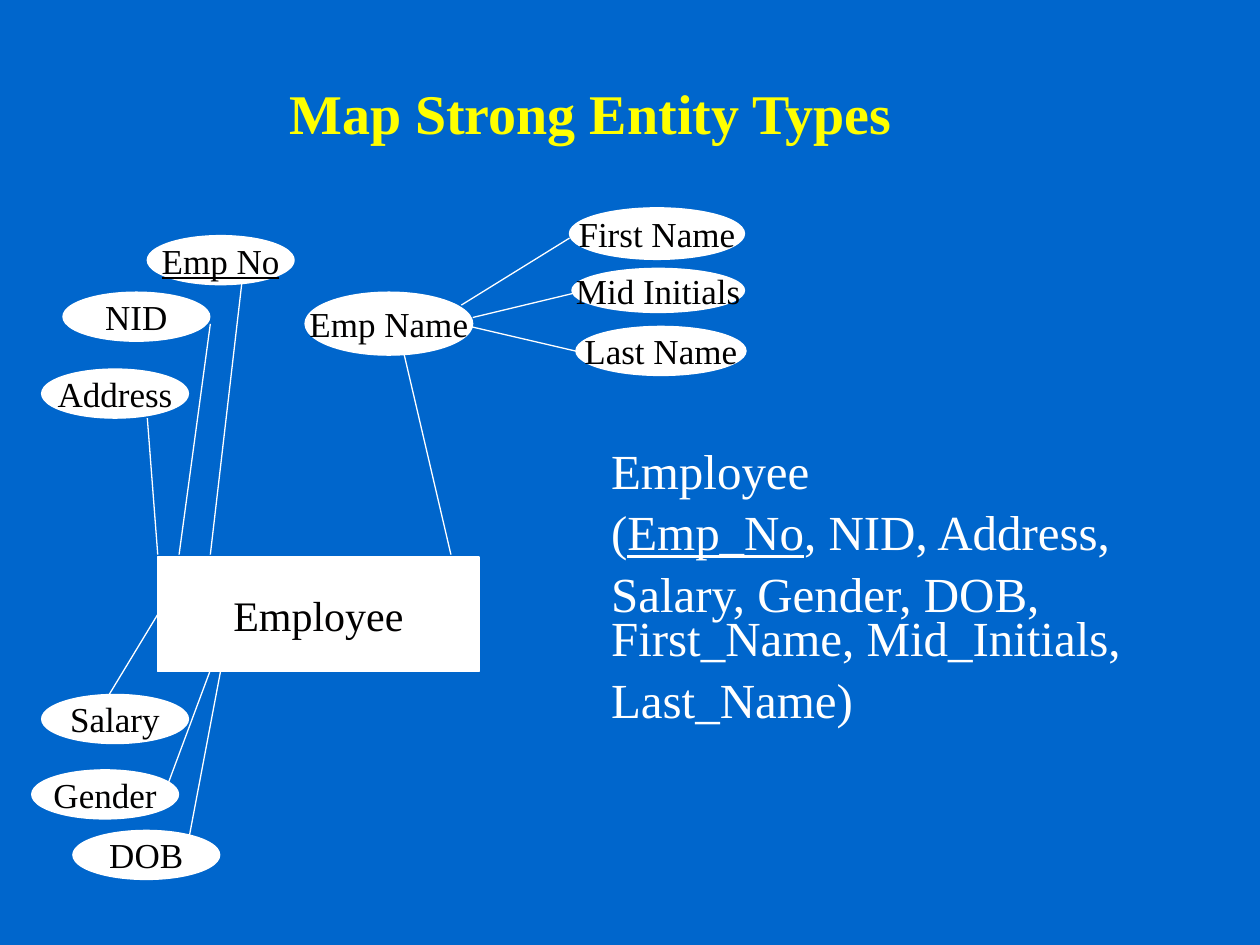
import pptx
import pptx.util
import pptx.dml.color
import pptx.enum.shapes
import pptx.enum.text
import pptx.oxml

Cm, Pt = pptx.util.Cm, pptx.util.Pt
KIND = pptx.enum.shapes.MSO_SHAPE
TEXT = pptx.enum.text
FONT = "Times New Roman"
HUES = {"back": "0066CC", "title": "FFFF00", "white": "FFFFFF", "ink": "010000"}

# Content: lengths in cm
TITLE = "Map Strong Entity Types"
ENTITY = ("Employee", 3.18, 11.23, 6.48, 2.31)
KEY = "Emp No"
SIZE = (2.96, 0.99)  # usual oval
OVALS = [
    (KEY, 2.97, 4.75, *SIZE),
    ("Emp Name", 6.15, 5.89, 3.38, 1.27),
    ("NID", 1.27, 5.89, *SIZE),
    ("Salary", 0.84, 14, *SIZE),
    ("Address", 0.84, 7.44, *SIZE),
    ("Gender", 0.64, 15.52, *SIZE),
    ("DOB", 1.47, 16.74, *SIZE),
    ("First Name", 11.48, 4.19, 3.53, 1.04),
    ("Mid Initials", 11.53, 5.41, 3.48, 0.89),
    ("Last Name", 11.61, 6.58, 3.43, 0.99),
]
LINKS = [  # from x, y to x, y
    (9.3, 6.15, 11.48, 4.8),
    (9.53, 6.4, 11.53, 5.92),
    (9.47, 6.58, 11.66, 7.09),
    (9.09, 11.18, 8.05, 6.73),
    (4.24, 11.18, 4.88, 5.66),
    (3.61, 11.18, 4.24, 6.53),
    (3.18, 11.18, 2.97, 8.43),
    (4.24, 13.51, 3.38, 15.82),
    (4.45, 13.51, 3.81, 16.89),
]
SALARY = (3.18, 12.39, 2.11, 14.15)  # starts at the entity's left side
NOTES = [  # box, then lines of (text, underlined) runs
    ((12.07, 8.69, 11.86, 3.81), [
        [("Employee", False)],
        [("(", False), ("Emp_No", True), (", NID, Address,", False)],
        [("Salary, Gender, DOB,", False)],
    ]),
    ((12.07, 12.07, 12.5, 2.64), [
        [("First_Name, Mid_Initials,", False)],
        [("Last_Name)", False)],
    ]),
]


def hue(name):
    return pptx.dml.color.RGBColor.from_string(HUES[name])


def style(para, size, name):
    para.font.name, para.font.size = FONT, Pt(size)
    para.font.color.rgb = hue(name)


def node(slide, kind, item, size):
    text, *box = item
    shape = slide.shapes.add_shape(kind, *map(Cm, box))
    shape.shadow.inherit = False
    shape.fill.solid()
    shape.fill.fore_color.rgb = hue("white")
    shape.line.color.rgb = hue("white")
    shape.line.width = Pt(0.75)
    frame = shape.text_frame
    frame.word_wrap = False
    frame.vertical_anchor = TEXT.MSO_ANCHOR.MIDDLE
    para = frame.paragraphs[0]
    para.text = text
    para.alignment = TEXT.PP_ALIGN.CENTER
    style(para, size, "ink")
    para.font.underline = text == KEY
    return shape


def link(slide, ends):
    line = slide.shapes.add_connector(
        pptx.enum.shapes.MSO_CONNECTOR.STRAIGHT, *map(Cm, ends))
    line.line.color.rgb = hue("white")
    line.line.width = Pt(0.75)
    props = line._element.spPr
    props.append(props.makeelement(pptx.oxml.ns.qn("a:effectLst"), {}))
    return line


def note(slide, box, lines):
    frame = slide.shapes.add_textbox(*map(Cm, box)).text_frame
    frame.word_wrap = True
    for i, runs in enumerate(lines):
        para = frame.add_paragraph() if i else frame.paragraphs[0]
        para.line_spacing = 1.05
        style(para, 28, "white")
        for text, under in runs:
            run = para.add_run()
            run.text = text
            if under:
                run.font.underline = True


def main():
    deck = pptx.Presentation()
    deck.slide_width, deck.slide_height = Cm(25.4), Cm(19.05)
    slide = deck.slides.add_slide(deck.slide_layouts[5])
    slide.background.fill.solid()
    slide.background.fill.fore_color.rgb = hue("back")

    # Title
    title = slide.shapes.title
    title.left, title.top, title.width, title.height = map(Cm, (1.07, 0, 21.59, 3.07))
    frame = title.text_frame
    frame.vertical_anchor = TEXT.MSO_ANCHOR.BOTTOM
    frame.margin_left = Cm(4.76)
    para = frame.paragraphs[0]
    para.text = TITLE
    para.alignment = TEXT.PP_ALIGN.LEFT
    style(para, 32, "title")
    para.font.bold = True

    # Diagram
    for item in OVALS:
        node(slide, KIND.OVAL, item, 20)
    for ends in LINKS:
        link(slide, ends)
    entity = node(slide, KIND.RECTANGLE, ENTITY, 24)
    link(slide, SALARY).begin_connect(entity, 1)

    # Relation schema
    for box, lines in NOTES:
        note(slide, box, lines)

    deck.save("out.pptx")


if __name__ == "__main__":
    main()
